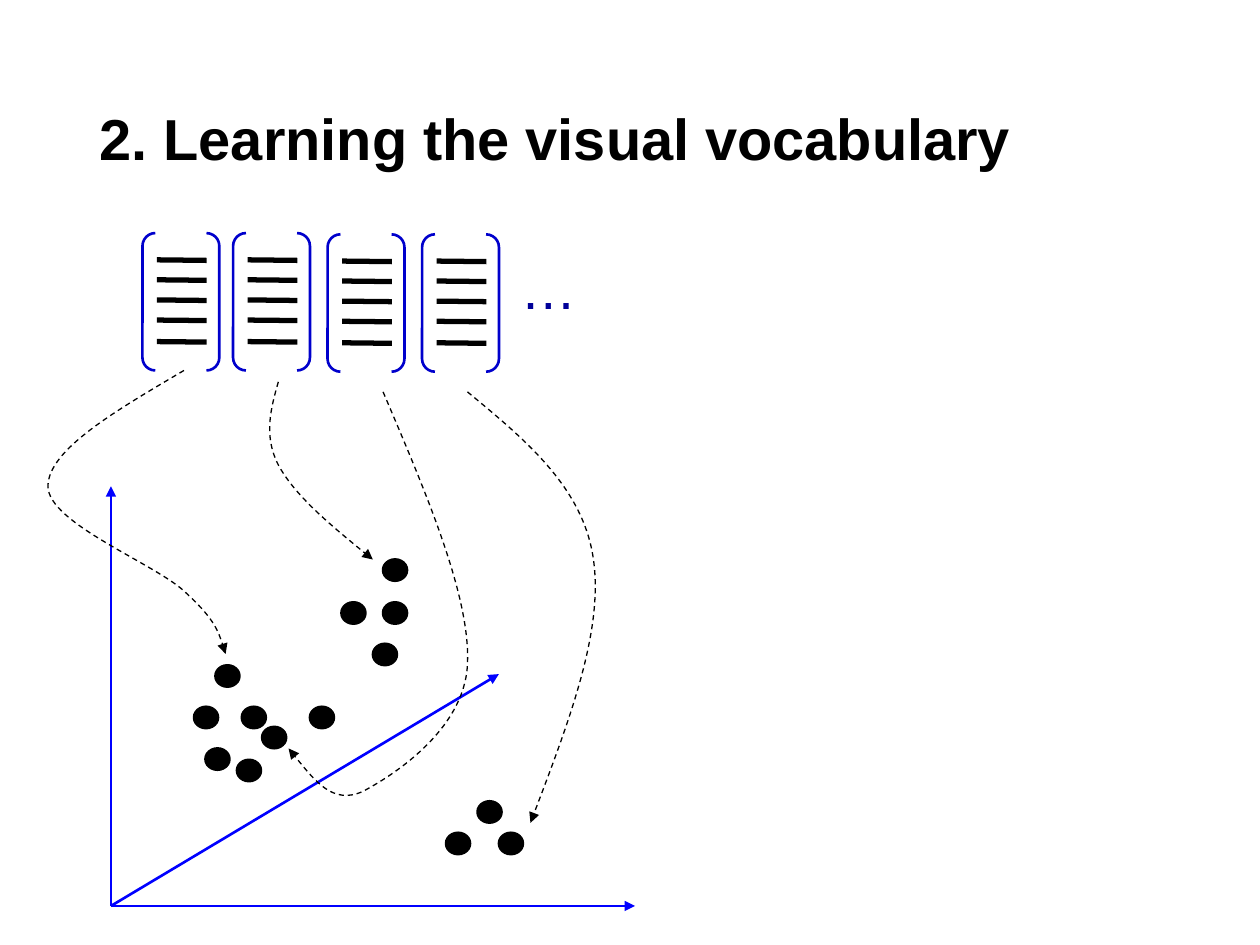
from lxml.etree import SubElement
from pptx import Presentation
from pptx.dml.color import RGBColor
from pptx.enum.dml import MSO_LINE
from pptx.enum.shapes import MSO_CONNECTOR, MSO_SHAPE
from pptx.enum.text import MSO_ANCHOR, PP_ALIGN
from pptx.oxml.ns import qn
from pptx.util import Pt

COLORS = {"ink": "000000", "axis": "0000FF", "bracket": "0000CC", "dots": "000099"}

VECTORS = [(81.4, 133.2), (133.2, 133.2), (187.2, 133.9), (241.2, 133.9)]
ROW_OFFSETS = [15.3, 26.7, 38.2, 49.7, 62]
ORIGIN = (63.4, 517.7)
AXIS_ENDS = [(63.4, 277.9), (362.9, 517.7), (285.1, 385.2)]
CLUSTERS = [
    [(138.2, 403.9), (149.8, 415.4), (110.9, 403.9), (135.4, 434.2),
     (117.4, 427.7), (177.1, 403.9), (123.1, 380.2)],
    [(218.9, 319.7), (213.1, 367.9), (195.1, 344.2), (218.9, 344.2)],
    [(285.1, 475.9), (272.9, 457.9), (254.9, 475.9)],
]
# Each curve is a start point followed by triples of Bézier points.
CURVES = [
    [(159.1, 218.2), (154.8, 233.3), (150.5, 249.1), (159.1, 265.7),
     (168.5, 283), (190.8, 301.7), (213.1, 319.7)],
    [(218.9, 223.9), (244.1, 283), (269.3, 342), (267.1, 380.2),
     (265, 417.6), (223.9, 443.5), (207.4, 452.2),
     (190.1, 460.1), (177.8, 443.5), (164.9, 427.7)],
    [(267.1, 223.9), (300.2, 251.3), (333.4, 278.6), (339.1, 319.7),
     (344.9, 360.7), (324, 415.4), (303.1, 470.2)],
    [(105.1, 211.7), (66.2, 234.7), (27.4, 257), (27.4, 277.9),
     (27.4, 298.8), (87.8, 321.8), (105.1, 337.7),
     (122.4, 353.5), (126, 363.6), (128.9, 373.7)],
]


def rgb(name):
    return RGBColor.from_string(COLORS[name])


def write(box, text, size, color="ink", bold=False, spacing=None):
    para = box.text_frame.paragraphs[0]
    para.alignment = PP_ALIGN.LEFT
    para.line_spacing = spacing
    span = para.add_run()
    span.text = text
    span.font.name = "Arial"
    span.font.size = Pt(size)
    span.font.bold = bold
    span.font.color.rgb = rgb(color)


def style_line(shape, color, width, arrow=False):
    shape.line.color.rgb = rgb(color)
    shape.line.width = Pt(width)
    if arrow:
        outline = shape._element.spPr.find(qn("a:ln"))
        SubElement(outline, qn("a:tailEnd"), type="triangle")


def add_line(shapes, start, end, color, width, arrow=False):
    line = shapes.add_connector(MSO_CONNECTOR.STRAIGHT, *map(Pt, start + end))
    style_line(line, color, width, arrow)
    SubElement(line._element.spPr, qn("a:effectLst"))


def add_shape(shapes, kind, left, top, width, height, color, fill=None):
    shape = shapes.add_shape(kind, Pt(left), Pt(top), Pt(width), Pt(height))
    shape.shadow.inherit = False
    if fill:
        shape.fill.solid()
        shape.fill.fore_color.rgb = rgb(fill)
    else:
        shape.fill.background()
    style_line(shape, color, 1.5)
    return shape


def add_vector(page, left, top):
    """Draw a bracketed column of bars standing for one descriptor."""
    group = page.shapes.add_group_shape().shapes
    bracket = add_shape(group, MSO_SHAPE.DOUBLE_BRACKET, left, top, 43.9, 78.5, "bracket")
    bracket.adjustments[0] = 0.167
    for offset in ROW_OFFSETS:
        row = top + offset
        add_line(group, (left + 8.3, row), (left + 36.7, row + 0.3), "ink", 3)


def add_curve(page, points):
    """Draw a dashed arrow along cubic Bézier segments."""
    start, *rest = [(Pt(x), Pt(y)) for x, y in points]
    builder = page.shapes.build_freeform(*start)
    builder.add_line_segments(rest, close=False)
    curve = builder.convert_to_shape()
    segments = list(curve._element.iter(qn("a:lnTo")))
    outline = segments[0].getparent()
    for first in range(0, len(segments), 3):
        bezier = SubElement(outline, qn("a:cubicBezTo"))
        for segment in segments[first:first + 3]:
            bezier.append(segment[0])
            outline.remove(segment)
    curve.shadow.inherit = False
    curve.fill.background()
    curve.line.dash_style = MSO_LINE.DASH
    style_line(curve, "ink", 0.75, arrow=True)


def add_title(page, text):
    title = page.shapes.title
    title.left, title.top, title.width, title.height = map(Pt, (49.7, 28.8, 620.6, 104.4))
    title.text_frame.vertical_anchor = MSO_ANCHOR.MIDDLE
    write(title, text, size=33, bold=True, spacing=0.9)


def add_ellipsis(page):
    box = page.shapes.add_textbox(Pt(290.2), Pt(141.1), Pt(46.8), Pt(45.4))
    box.text_frame.word_wrap = False
    write(box, "…", size=32, color="dots")


def main():
    deck = Presentation()
    deck.slide_width, deck.slide_height = Pt(720), Pt(540)
    page = deck.slides.add_slide(deck.slide_layouts[5])
    add_title(page, "2. Learning the visual vocabulary")
    for end in AXIS_ENDS:
        add_line(page.shapes, ORIGIN, end, "axis", 1.5, arrow=True)
    for cluster in CLUSTERS:
        for left, top in cluster:
            add_shape(page.shapes, MSO_SHAPE.OVAL, left, top, 13.7, 12.2, "ink", fill="ink")
    for points in CURVES:
        add_curve(page, points)
    for left, top in VECTORS:
        add_vector(page, left, top)
    add_ellipsis(page)
    deck.save("out.pptx")


if __name__ == "__main__":
    main()
